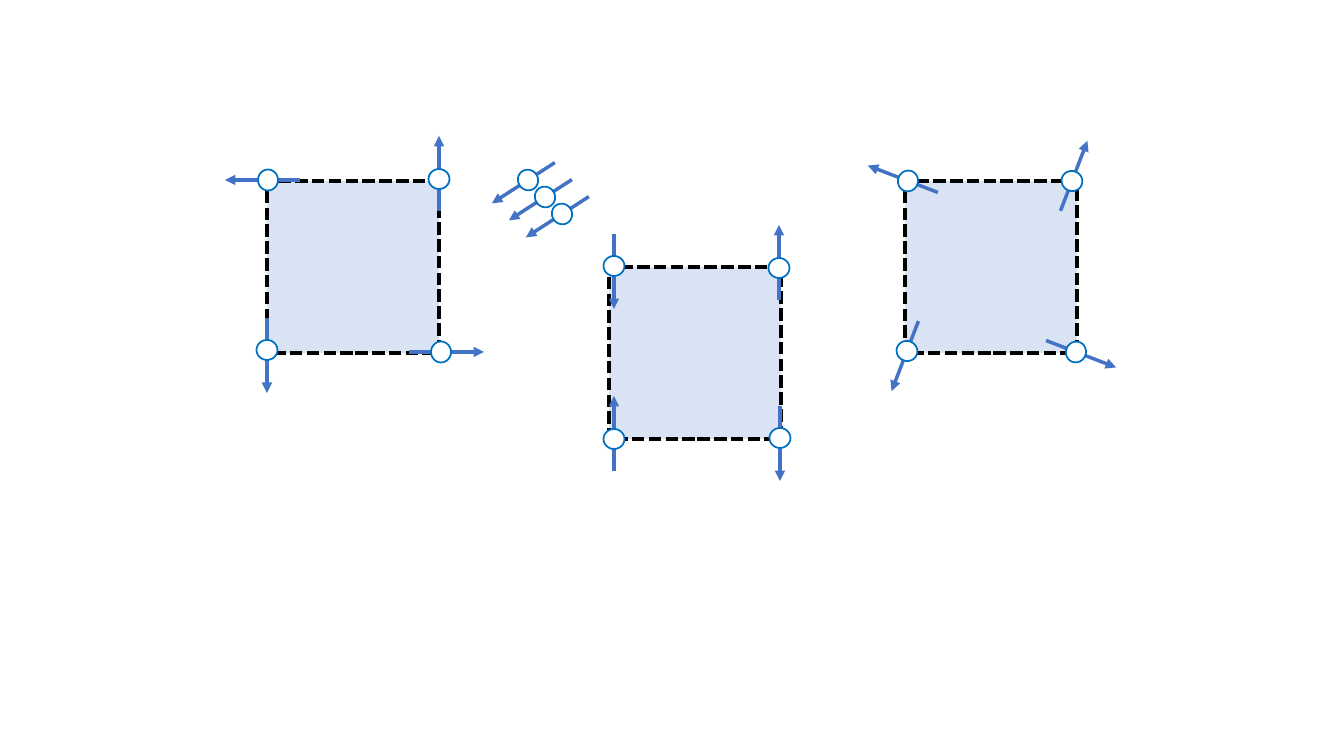
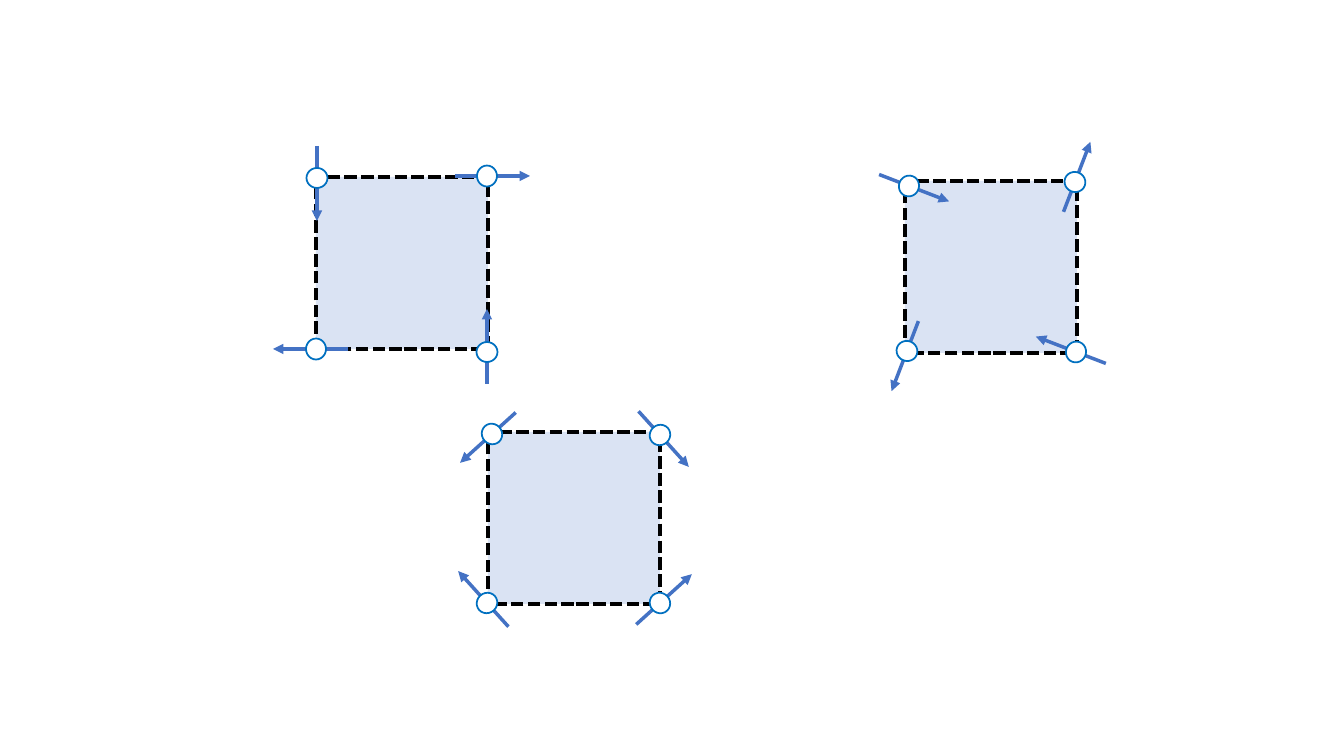
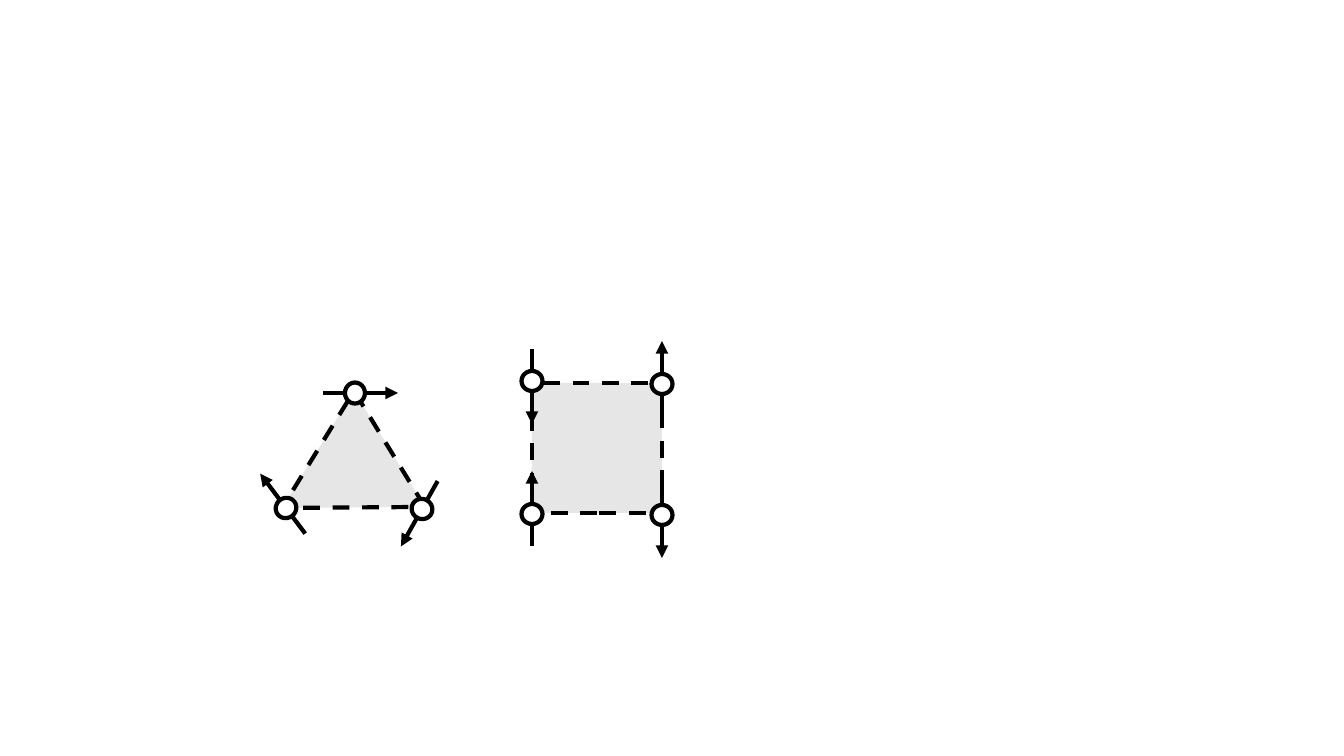
import math

import lxml.etree
import pptx
import pptx.dml.color
import pptx.enum.dml
import pptx.enum.shapes
import pptx.oxml.ns
import pptx.util

SLIDE_WIDTH, SLIDE_HEIGHT = 1344, 756
EMU_PER_PX = 914400 / 100.8
CIRCLE_WIDTH, CIRCLE_HEIGHT = 21, 20
ARROW_BEHIND, ARROW_AHEAD = 32, 43

COLOURS = {
    "white": "FFFFFF",
    "black": "000000",
    "pale blue": "DAE3F3",
    "arrow blue": "4472C4",
    "circle blue": "0070C0",
    "grey": "E7E6E6",
}

DASHES = pptx.enum.dml.MSO_LINE
BLUE_STYLE = {
    "cell": "pale blue", "dash": DASHES.SQUARE_DOT,
    "arrow": ("arrow blue", 2.5), "circle": ("circle blue", 1.25),
}
BLACK_STYLE = {
    "cell": "grey", "dash": DASHES.DASH,
    "arrow": ("black", 3), "circle": ("black", 3),
}

# Square: left, top, side. Triangle: corners.
# Spin: centre x, centre y, clockwise turn in degrees from pointing down.
SLIDES = [
    {"style": BLUE_STYLE, "groups": [
        {"square": (609, 267, 172),
         "spins": [(779, 268, 180), (614, 266, 0), (614, 439, 180), (780, 438, 0)]},
        {"spins": [(528 + 17 * step, 180 + 17 * step, 57.1) for step in range(3)]},
        {"square": (267, 181, 172),
         "spins": [(439, 179, 180), (268, 180, 90), (267, 350, 0), (441, 352, 270)]},
        {"square": (905, 181, 172),
         "spins": [(1072, 181, 201), (908, 181, 111), (907, 351, 21), (1076, 352, 291)]},
    ]},
    {"style": BLUE_STYLE, "groups": [
        {"square": (905, 181, 172),
         "spins": [(1075, 182, 201), (1076, 352, 111), (907, 351, 21), (909, 186, 291)]},
        {"square": (316, 177, 172),
         "spins": [(487, 176, 270), (487, 352, 180), (316, 349, 90), (317, 178, 0)]},
        {"square": (488, 432, 172),
         "spins": [(660, 435, 317.9), (660, 603, 227.9), (487, 603, 137.9), (492, 434, 47.9)]},
    ]},
    {"style": BLACK_STYLE, "groups": [
        {"square": (532, 383, 130),
         "spins": [(662, 384, 180), (532, 381, 0), (532, 514, 180), (662, 515, 0)]},
        {"triangle": [(425, 507), (354, 391), (282, 508)],
         "spins": [(422, 509, 29.3), (355, 393, 270), (286, 508, 143.1)]},
    ]},
]


def emu(px):
    return pptx.util.Emu(round(px * EMU_PER_PX))


def rgb(name):
    return pptx.dml.color.RGBColor.from_string(COLOURS[name])


def set_line(item, colour, width):
    item.line.color.rgb = rgb(colour)
    item.line.width = pptx.util.Pt(width)


def paint(shape, fill, colour, width):
    shape.shadow.inherit = False
    shape.fill.solid()
    shape.fill.fore_color.rgb = rgb(fill)
    set_line(shape, colour, width)


def add_cell(shapes, group, style):
    """Draw the dashed square or triangle behind the spins, if there is one."""
    if "square" in group:
        left, top, side = group["square"]
        cell = shapes.add_shape(pptx.enum.shapes.MSO_SHAPE.RECTANGLE,
                                emu(left), emu(top), emu(side), emu(side))
    elif "triangle" in group:
        first, *others = group["triangle"]
        builder = shapes.build_freeform(*first, scale=EMU_PER_PX)
        builder.add_line_segments(others, close=True)
        cell = builder.convert_to_shape()
    else:
        return
    paint(cell, style["cell"], "black", 3)
    cell.line.dash_style = style["dash"]


def add_spin(shapes, x, y, turn, style):
    """Draw an arrow that passes through a small circle."""
    angle = math.radians(turn)
    across, down = -math.sin(angle), math.cos(angle)
    arrow = shapes.add_connector(
        pptx.enum.shapes.MSO_CONNECTOR.STRAIGHT,
        emu(x - ARROW_BEHIND * across), emu(y - ARROW_BEHIND * down),
        emu(x + ARROW_AHEAD * across), emu(y + ARROW_AHEAD * down))
    set_line(arrow, *style["arrow"])
    qn = pptx.oxml.ns.qn
    properties = arrow.element.spPr
    lxml.etree.SubElement(properties.find(qn("a:ln")), qn("a:tailEnd"), type="triangle")
    lxml.etree.SubElement(properties, qn("a:effectLst"))

    circle = shapes.add_shape(
        pptx.enum.shapes.MSO_SHAPE.FLOWCHART_CONNECTOR,
        emu(x - CIRCLE_WIDTH / 2), emu(y - CIRCLE_HEIGHT / 2),
        emu(CIRCLE_WIDTH), emu(CIRCLE_HEIGHT))
    circle.rotation = turn
    paint(circle, "white", *style["circle"])


def main():
    deck = pptx.Presentation()
    deck.slide_width, deck.slide_height = emu(SLIDE_WIDTH), emu(SLIDE_HEIGHT)
    for content in SLIDES:
        page = deck.slides.add_slide(deck.slide_layouts[6])
        for group in content["groups"]:
            shapes = page.shapes.add_group_shape().shapes
            add_cell(shapes, group, content["style"])
            for spin in group["spins"]:
                add_spin(shapes, *spin, content["style"])
    deck.save("out.pptx")


if __name__ == "__main__":
    main()
